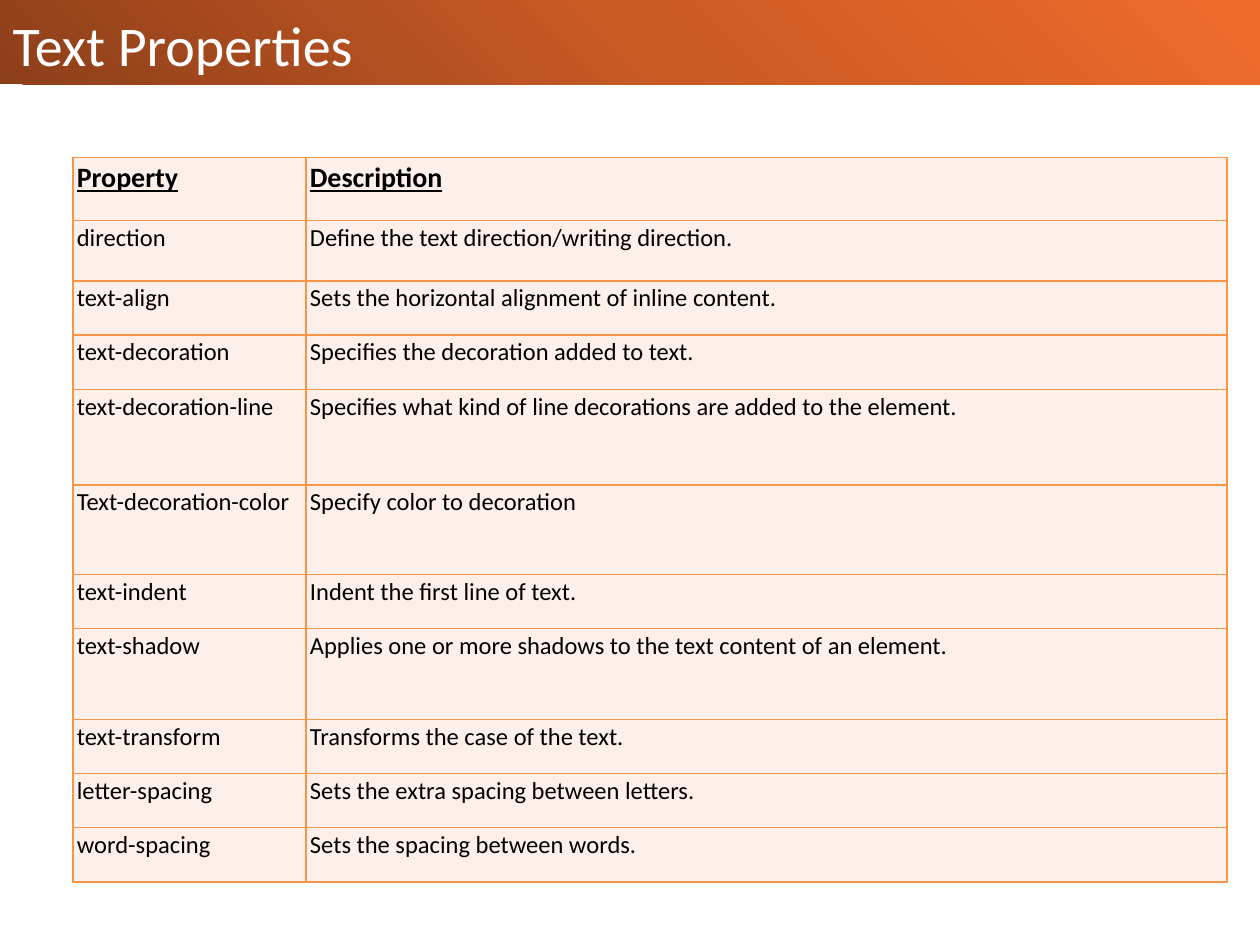
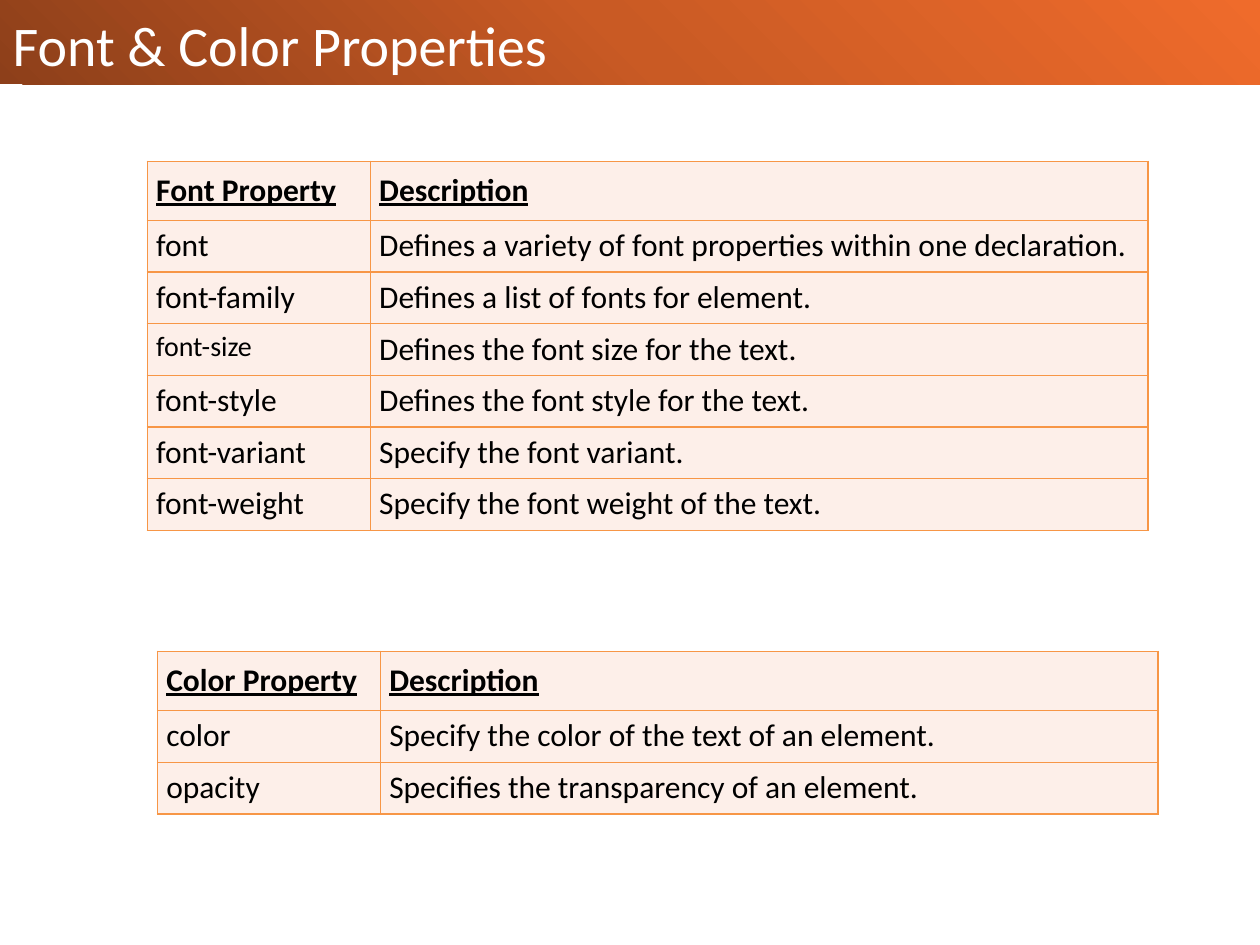
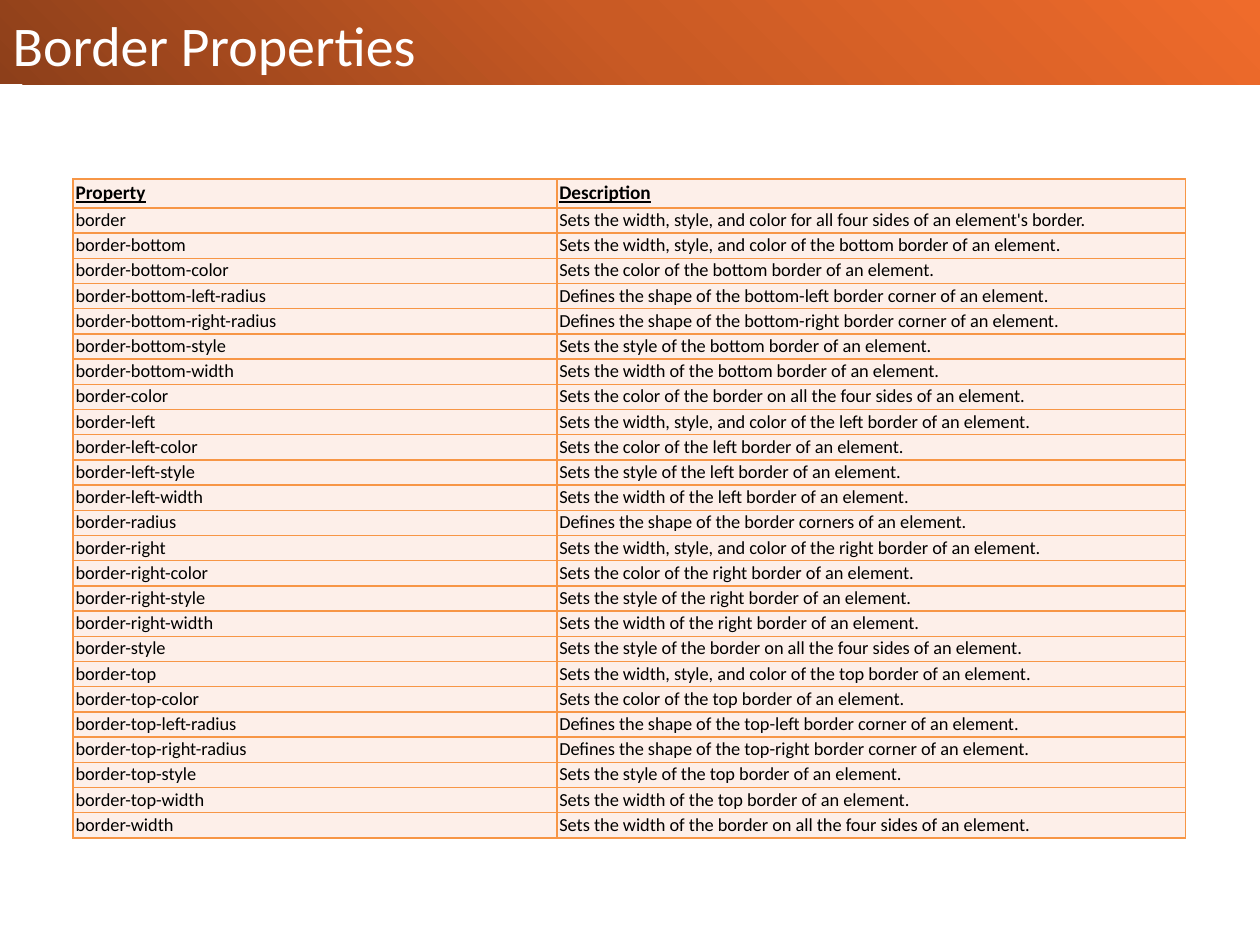
from copy import deepcopy

from lxml import etree
from pptx import Presentation
from pptx.dml.color import RGBColor
from pptx.enum.shapes import MSO_SHAPE
from pptx.enum.text import MSO_ANCHOR, MSO_AUTO_SIZE, PP_ALIGN
from pptx.oxml.ns import qn
from pptx.util import Inches, Pt

RECT = MSO_SHAPE.RECTANGLE
BOTTOM = MSO_ANCHOR.BOTTOM
LEFT = PP_ALIGN.LEFT
NO_AUTOFIT = MSO_AUTO_SIZE.NONE

FONT = "Calibri"
WHITE = RGBColor(0xFF, 0xFF, 0xFF)
BLACK = RGBColor(0x00, 0x00, 0x00)
BORDER = RGBColor(0xF7, 0x96, 0x46)
CELL_FILL = RGBColor(0xFD, 0xEF, 0xE9)
BAND_STOPS = [
    (0, RGBColor(0x8D, 0x3F, 0x1A)),
    (0.5, RGBColor(0xC9, 0x5A, 0x24)),
    (1, RGBColor(0xEF, 0x6B, 0x2B)),
]
SLIDE_W, SLIDE_H = 10, 7.5
BAND_H = 0.67

TEXT_ROWS = [
    ("Property", "Description"),
    ("direction", "Define the text direction/writing direction."),
    ("text-align", "Sets the horizontal alignment of inline content."),
    ("text-decoration", "Specifies the decoration added to text."),
    ("text-decoration-line", "Specifies what kind of line decorations are added to the element."),
    ("Text-decoration-color", "Specify color to decoration"),
    ("text-indent", "Indent the first line of text."),
    ("text-shadow", "Applies one or more shadows to the text content of an element."),
    ("text-transform", "Transforms the case of the text."),
    ("letter-spacing", "Sets the extra spacing between letters."),
    ("word-spacing", "Sets the spacing between words."),
]
TEXT_HEIGHTS = [0.5, 0.48, 0.43, 0.43, 0.76, 0.71, 0.43, 0.72, 0.43, 0.43, 0.43]

FONT_ROWS = [
    ("Font Property", "Description"),
    ("font", "Defines a variety of font properties within one declaration."),
    ("font-family", "Defines a list of fonts for element."),
    ("font-size", "Defines the font size for the text."),
    ("font-style", "Defines the font style for the text."),
    ("font-variant", "Specify the font variant."),
    ("font-weight", "Specify the font weight of the text."),
]

COLOR_ROWS = [
    ("Color Property", "Description"),
    ("color", "Specify the color of the text of an element."),
    ("opacity", "Specifies the transparency of an element."),
]

BORDER_ROWS = [
    ("Property", "Description"),
    ("border", "Sets the width, style, and color for all four sides of an element's border."),
    ("border-bottom", "Sets the width, style, and color of the bottom border of an element."),
    ("border-bottom-color", "Sets the color of the bottom border of an element."),
    ("border-bottom-left-radius", "Defines the shape of the bottom-left border corner of an element."),
    ("border-bottom-right-radius", "Defines the shape of the bottom-right border corner of an element."),
    ("border-bottom-style", "Sets the style of the bottom border of an element."),
    ("border-bottom-width", "Sets the width of the bottom border of an element."),
    ("border-color", "Sets the color of the border on all the four sides of an element."),
    ("border-left", "Sets the width, style, and color of the left border of an element."),
    ("border-left-color", "Sets the color of the left border of an element."),
    ("border-left-style", "Sets the style of the left border of an element."),
    ("border-left-width", "Sets the width of the left border of an element."),
    ("border-radius", "Defines the shape of the border corners of an element."),
    ("border-right", "Sets the width, style, and color of the right border of an element."),
    ("border-right-color", "Sets the color of the right border of an element."),
    ("border-right-style", "Sets the style of the right border of an element."),
    ("border-right-width", "Sets the width of the right border of an element."),
    ("border-style", "Sets the style of the border on all the four sides of an element."),
    ("border-top", "Sets the width, style, and color of the top border of an element."),
    ("border-top-color", "Sets the color of the top border of an element."),
    ("border-top-left-radius", "Defines the shape of the top-left border corner of an element."),
    ("border-top-right-radius", "Defines the shape of the top-right border corner of an element."),
    ("border-top-style", "Sets the style of the top border of an element."),
    ("border-top-width", "Sets the width of the top border of an element."),
    ("border-width", "Sets the width of the border on all the four sides of an element."),
]


def add_run(p, text, size, color, strong=False):
    """Add a run; a strong one is bold and underlined."""
    r = p.add_run()
    r.text = text
    r.font.name = FONT
    r.font.size = Pt(size)
    r.font.color.rgb = color
    r.font.bold = strong
    r.font.underline = strong


def add_band(s):
    """Add the gradient strip behind the title, a tall bar turned on its side."""
    sp = s.shapes.add_shape(
        RECT, Inches((SLIDE_W - BAND_H) / 2), Inches((BAND_H - SLIDE_W) / 2),
        Inches(BAND_H), Inches(SLIDE_W))
    sp.rotation = 270
    sp.shadow.inherit = False
    sp.line.fill.background()
    sp.fill.gradient()
    sp.fill.gradient_angle = 315
    stop_list = next(sp._element.iter(qn("a:gsLst")))
    stop_list.append(deepcopy(stop_list[0]))
    for stop, (position, color) in zip(sp.fill.gradient_stops, BAND_STOPS):
        stop.position = position
        stop.color.rgb = color
    s.shapes._spTree.insert(2, sp._element)


def add_titled_slide(prs, title):
    s = prs.slides.add_slide(prs.slide_layouts[5])
    add_band(s)
    sp = s.shapes.title
    sp.left, sp.top = Inches(0), Inches(0)
    sp.width, sp.height = Inches(9.42), Inches(BAND_H)
    tf = sp.text_frame
    tf.auto_size = NO_AUTOFIT
    tf.vertical_anchor = BOTTOM
    p = tf.paragraphs[0]
    p.alignment = LEFT
    add_run(p, title, 32, WHITE)
    return s


def set_borders(cell):
    tc_pr = cell._tc.get_or_add_tcPr()
    for i, side in enumerate(("a:lnL", "a:lnR", "a:lnT", "a:lnB")):
        ln = etree.Element(qn(side), w=str(Pt(1)))
        fill = etree.SubElement(ln, qn("a:solidFill"))
        etree.SubElement(fill, qn("a:srgbClr"), val=str(BORDER))
        tc_pr.insert(i, ln)


def fill_cell(cell, text, size, margins, strong):
    side, end = (Inches(m) for m in margins)
    cell.margin_left = cell.margin_right = side
    cell.margin_top = cell.margin_bottom = end
    cell.fill.solid()
    cell.fill.fore_color.rgb = CELL_FILL
    set_borders(cell)
    add_run(cell.text_frame.paragraphs[0], text, size, BLACK, strong)


def add_property_table(s, left, top, widths, heights, rows, sizes, margins, special=None):
    """Add a table; sizes and margins hold a header and a body value, special maps a text to its size."""
    special = special or {}
    table = s.shapes.add_table(
        len(rows), len(widths), Inches(left), Inches(top),
        Inches(sum(widths)), Inches(sum(heights))).table
    table.first_row = table.horz_banding = False
    for column, width in zip(table.columns, widths):
        column.width = Inches(width)
    for i, (texts, height) in enumerate(zip(rows, heights)):
        table.rows[i].height = Inches(height)
        kind = min(i, 1)
        for j, text in enumerate(texts):
            fill_cell(table.cell(i, j), text, special.get(text, sizes[kind]),
                      margins[kind], strong=i == 0)


def row_heights(rows, header, body):
    return [header] + [body] * (len(rows) - 1)


def main():
    prs = Presentation()
    prs.slide_width, prs.slide_height = Inches(SLIDE_W), Inches(SLIDE_H)

    s = add_titled_slide(prs, "Text Properties")
    add_property_table(s, 0.58, 1.25, [1.85, 7.31], TEXT_HEIGHTS, TEXT_ROWS,
                       (16, 14), [(0.03, 0.03), (0.03, 0.02)])

    s = add_titled_slide(prs, "Font & Color Properties")
    for left, top, rows in [(1.17, 1.28, FONT_ROWS), (1.25, 5.17, COLOR_ROWS)]:
        add_property_table(s, left, top, [1.77, 6.17], row_heights(rows, 0.47, 0.41), rows,
                           (18, 18), [(0.07, 0.08), (0.07, 0.05)], {"font-size": 16})

    s = add_titled_slide(prs, "Border Properties")
    add_property_table(s, 0.58, 1.42, [3.84, 4.99], row_heights(BORDER_ROWS, 0.23, 0.2),
                       BORDER_ROWS, (11, 10.5), [(0.02, 0.02), (0.02, 0.01)])

    prs.save("out.pptx")


if __name__ == "__main__":
    main()
